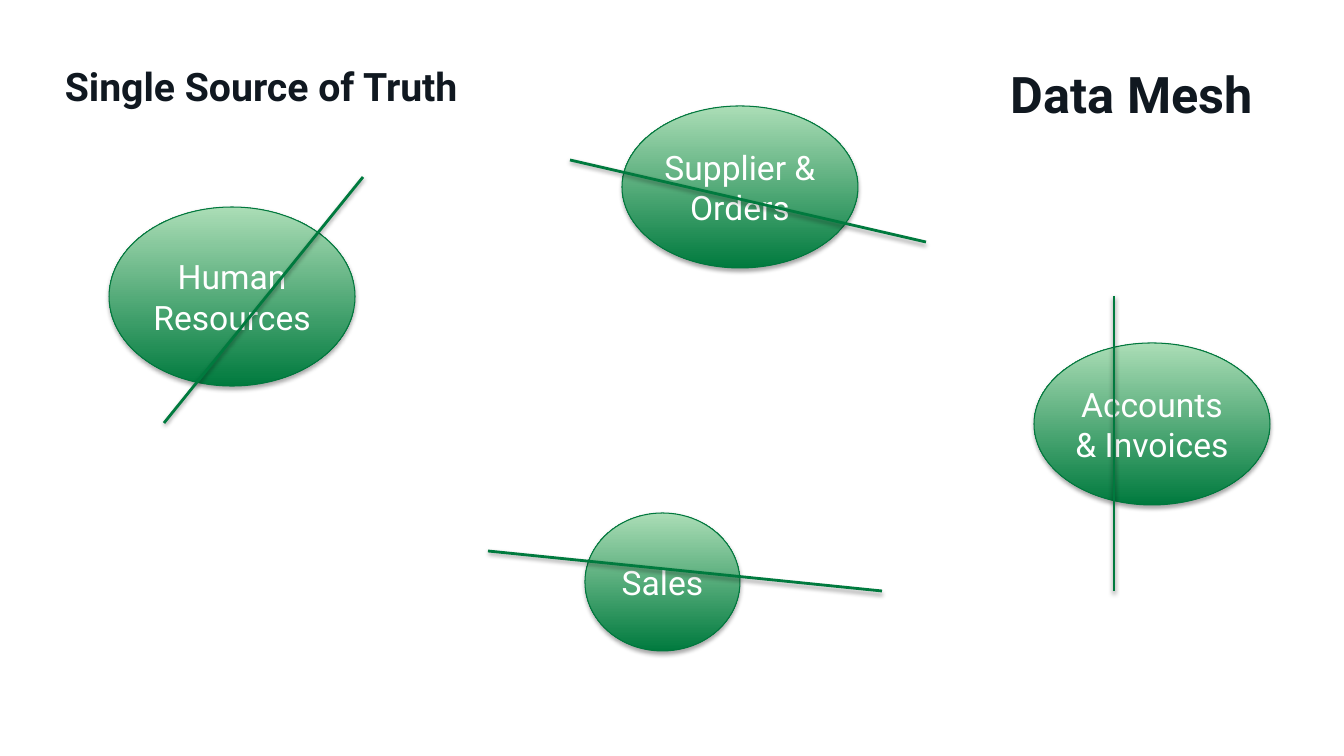
from lxml import etree
from pptx import Presentation
from pptx.dml.color import RGBColor
from pptx.enum.shapes import MSO_CONNECTOR, MSO_SHAPE
from pptx.enum.text import MSO_ANCHOR, MSO_AUTO_SIZE, PP_ALIGN
from pptx.oxml.ns import qn
from pptx.util import Emu, Pt

SLIDE_WIDTH, SLIDE_HEIGHT = 1344, 756
EMU_PER_PX = 12192000 / SLIDE_WIDTH
STRAIGHT = MSO_CONNECTOR.STRAIGHT
OVAL = MSO_SHAPE.OVAL
MIDDLE = MSO_ANCHOR.MIDDLE
FIT_SHAPE = MSO_AUTO_SIZE.SHAPE_TO_FIT_TEXT
LEFT, CENTER = PP_ALIGN.LEFT, PP_ALIGN.CENTER

BLACK = RGBColor(0x00, 0x00, 0x00)
WHITE = RGBColor(0xFF, 0xFF, 0xFF)
INK = RGBColor(0x10, 0x18, 0x20)
GREEN = RGBColor(0x00, 0x7A, 0x3E)
PALE_GREEN = RGBColor(0xAB, 0xDD, 0xB6)
OUTLINE_GREEN = RGBColor(0x00, 0x77, 0x3D)

DOMAINS = [
    ("Sales", (585, 513, 155, 138)),
    ("Human Resources", (109, 207, 246, 179)),
    ("Accounts & Invoices", (1034, 343, 236, 162)),
    ("Supplier & Orders", (622, 106, 236, 162)),
]
TITLES = [
    ("Single Source of Truth", (55, 57, 432, 57), 28),
    ("Data Mesh", (1001, 58, 276, 72), 36),
]
STRIKES = [
    (363, 177, 164, 423),
    (570, 160, 926, 242),
    (1114, 296, 1114, 591),
    (488, 551, 882, 591),
]


def px(*lengths):
    return [Emu(round(length * EMU_PER_PX)) for length in lengths]


def write(frame, text, font="Roboto", size=24, color=WHITE, bold=False, align=LEFT):
    para = frame.paragraphs[0]
    para.alignment = align
    span = para.add_run()
    span.text = text
    span.font.name = font
    span.font.size = Pt(size)
    span.font.bold = bold
    span.font.color.rgb = color


class MeshSlide:
    def __init__(self, slide):
        self.shapes = slide.shapes

    def shadow(self, item, opacity, distance):
        effects = etree.SubElement(item.element.spPr, qn("a:effectLst"))
        outer = etree.SubElement(
            effects, qn("a:outerShdw"), blurRad="40000", dist=str(distance),
            dir="5400000", rotWithShape="0",
        )
        color = etree.SubElement(outer, qn("a:srgbClr"), val=str(BLACK))
        etree.SubElement(color, qn("a:alpha"), val=str(opacity * 1000))

    def domain(self, text, place):
        oval = self.shapes.add_shape(OVAL, *px(*place))
        oval.fill.gradient()
        oval.fill.gradient_angle = 90
        for stop, color in zip(oval.fill.gradient_stops, (GREEN, PALE_GREEN)):
            stop.color.rgb = color
        for stop, position in zip(oval.fill.gradient_stops, (0, 1)):
            stop.position = position
        oval.line.color.rgb = OUTLINE_GREEN
        oval.line.width = Pt(0.75)
        self.shadow(oval, opacity=35, distance=23000)
        frame = oval.text_frame
        frame.word_wrap = True
        frame.vertical_anchor = MIDDLE
        frame.margin_left = frame.margin_right = 0
        frame.margin_top = frame.margin_bottom = 0
        write(frame, text, align=CENTER)

    def title(self, text, place, size):
        box = self.shapes.add_textbox(*px(*place))
        box.text_frame.word_wrap = False
        box.text_frame.auto_size = FIT_SHAPE
        write(box.text_frame, text, size=size, color=INK, bold=True)

    def strike(self, ends):
        line = self.shapes.add_connector(STRAIGHT, *px(*ends))
        line.line.color.rgb = GREEN
        line.line.width = Pt(2)
        self.shadow(line, opacity=38, distance=20000)


def main():
    deck = Presentation()
    deck.slide_width, deck.slide_height = px(SLIDE_WIDTH, SLIDE_HEIGHT)
    page = MeshSlide(deck.slides.add_slide(deck.slide_layouts[6]))
    for text, place in DOMAINS:
        page.domain(text, place)
    for text, place, size in TITLES:
        page.title(text, place, size)
    for ends in STRIKES:
        page.strike(ends)
    deck.save("out.pptx")


if __name__ == "__main__":
    main()
